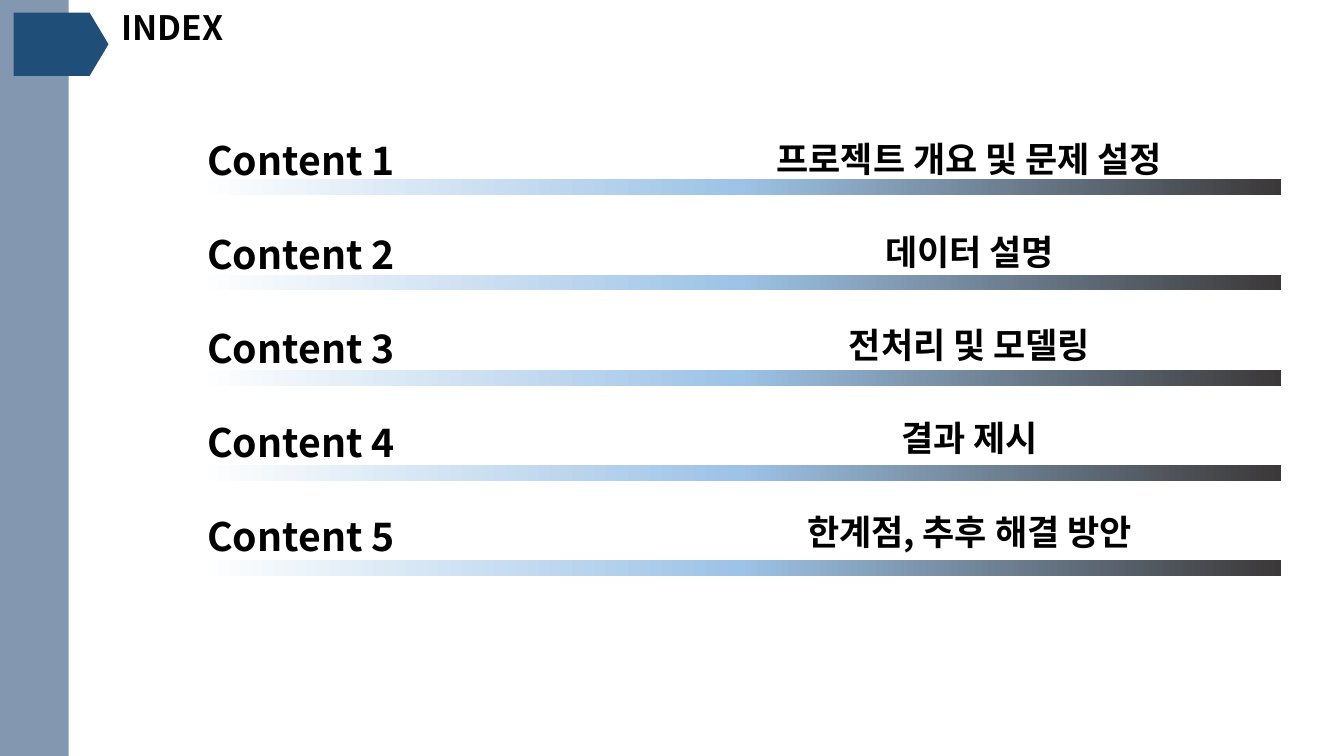
from copy import deepcopy

from lxml.etree import SubElement
from pptx import Presentation
from pptx.dml.color import RGBColor
from pptx.enum.shapes import MSO_SHAPE
from pptx.enum.text import MSO_ANCHOR, MSO_AUTO_SIZE, PP_ALIGN
from pptx.oxml.ns import qn
from pptx.util import Cm, Pt

FONT = "Noto Sans CJK KR"
TOPICS = [
    "프로젝트 개요 및 문제 설정",
    "데이터 설명",
    "전처리 및 모델링",
    "결과 제시",
    "한계점, 추후 해결 방안",
]
GRADIENT = [(0, "FFFFFF"), (0.5, "9DC3E6"), (1, "3B3838")]
BAR_PITCH = 2.4
TOPIC_PITCH = 2.35


def color(value):
    return RGBColor.from_string(value)


def place(shape, left, top, width, height):
    shape.left, shape.top = Cm(left), Cm(top)
    shape.width, shape.height = Cm(width), Cm(height)


def add_block(slide, kind, left, top, width, height):
    shape = slide.shapes.add_shape(kind, Cm(left), Cm(top), Cm(width), Cm(height))
    shape.shadow.inherit = False
    shape.line.fill.background()
    return shape


def fill_solid(shape, value):
    shape.fill.solid()
    shape.fill.fore_color.rgb = color(value)


def fill_gradient(shape):
    shape.fill.gradient()
    shape.fill.gradient_angle = 0
    stop_list = shape.fill._fill._gradFill.find(qn("a:gsLst"))
    stop_list.append(deepcopy(stop_list[-1]))
    for stop, (position, value) in zip(shape.fill.gradient_stops, GRADIENT):
        stop.position = position
        stop.color.rgb = color(value)


def write_lines(shape, lines, size, alignment, gap=0):
    frame = shape.text_frame
    frame.text = "\n".join(lines)
    frame.word_wrap = True
    frame.auto_size = MSO_AUTO_SIZE.NONE
    frame.vertical_anchor = MSO_ANCHOR.TOP
    for paragraph in frame.paragraphs:
        paragraph.alignment = alignment
        paragraph.space_before = Pt(0)
        paragraph.space_after = Pt(gap)
        font = paragraph.font
        font.name, font.size, font.bold = FONT, Pt(size), True
        font.color.rgb = color("000000")
        properties = paragraph._p.get_or_add_pPr()
        SubElement(properties.find(qn("a:defRPr")), qn("a:ea"), typeface=FONT)


def remove_bullets(shape):
    for paragraph in shape.text_frame.paragraphs:
        properties = paragraph._p.get_or_add_pPr()
        properties.set("marL", "0")
        properties.set("indent", "0")
        properties.find(qn("a:defRPr")).addprevious(
            SubElement(properties, qn("a:buNone"))
        )


def add_side_panel(slide, left, top, width, height):
    panel = add_block(slide, MSO_SHAPE.RECTANGLE, left, top, width, height)
    fill_solid(panel, "8497B0")
    marker = add_block(
        slide, MSO_SHAPE.FLOWCHART_OFFPAGE_CONNECTOR, left + 0.74, top - 0.08, 1.6, 2.39
    )
    marker.rotation = 270
    fill_solid(marker, "1F4E79")


def add_heading(slide, left, top, width, height):
    title = slide.shapes.title
    place(title, left, top, width, height)
    write_lines(title, ["INDEX"], 24, PP_ALIGN.LEFT)


def add_index(slide, left, top, width, height):
    for row, topic in enumerate(TOPICS):
        bar = add_block(
            slide, MSO_SHAPE.RECTANGLE, left, top + 1.22 + row * BAR_PITCH, width, 0.4
        )
        fill_gradient(bar)
        box = slide.shapes.add_textbox(
            Cm(left + 12.8), Cm(top + 0.03 + row * TOPIC_PITCH), Cm(13.4), Cm(1.3)
        )
        write_lines(box, [topic], 25, PP_ALIGN.CENTER)

    labels = slide.placeholders[1]
    place(labels, left + 0.04, top, 6, height)
    names = [f"Content {number}" for number in range(1, len(TOPICS) + 1)]
    write_lines(labels, names, 28, PP_ALIGN.LEFT, gap=33.5)
    remove_bullets(labels)
    slide.shapes._spTree.append(labels._element)


def main():
    presentation = Presentation()
    presentation.slide_width, presentation.slide_height = Cm(33.87), Cm(19.05)
    slide = presentation.slides.add_slide(presentation.slide_layouts[1])
    add_side_panel(slide, 0, 0, 1.73, 19.05)
    add_heading(slide, 2.8, 0.05, 6, 1.27)
    add_index(slide, 4.93, 3.3, 27.36, 12.2)
    presentation.save("out.pptx")


if __name__ == "__main__":
    main()
